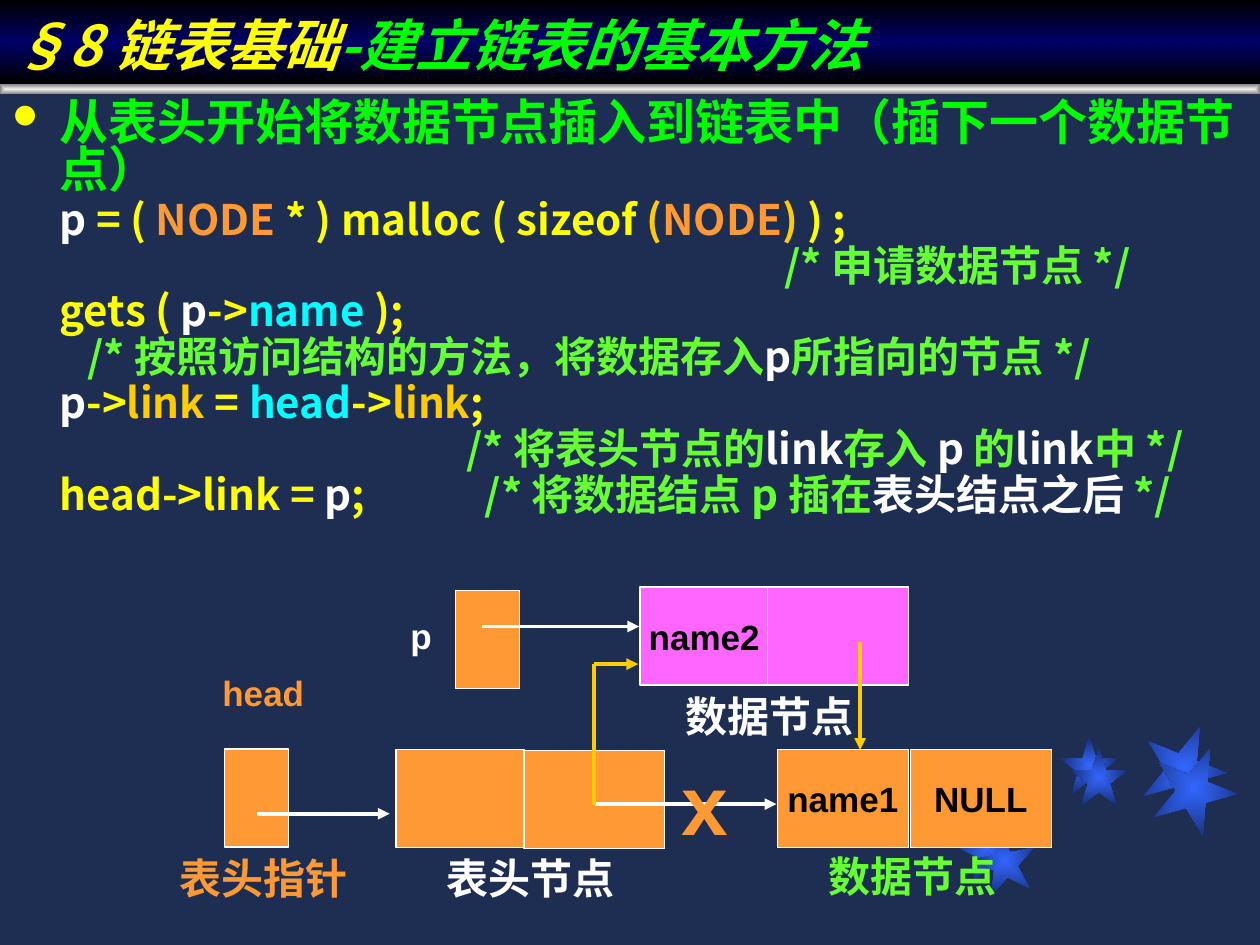
from dataclasses import dataclass

from lxml import etree
from pptx import Presentation
from pptx.dml.color import RGBColor
from pptx.enum.shapes import MSO_CONNECTOR, MSO_SHAPE
from pptx.enum.text import MSO_ANCHOR, MSO_AUTO_SIZE, PP_ALIGN
from pptx.oxml.ns import qn
from pptx.util import Pt

RECT, STAR = MSO_SHAPE.RECTANGLE, MSO_SHAPE.STAR_5_POINT
LINE = MSO_CONNECTOR.STRAIGHT
MIDDLE, BOTTOM = MSO_ANCHOR.MIDDLE, MSO_ANCHOR.BOTTOM
LEFT, CENTER = PP_ALIGN.LEFT, PP_ALIGN.CENTER
FIXED = MSO_AUTO_SIZE.NONE


@dataclass(frozen=True)
class Theme:
    """Colours, fonts and type sizes."""
    back: str = "1E2E53"
    white: str = "FFFFFF"
    black: str = "000000"
    yellow: str = "FFFF00"
    gold: str = "FFCC00"
    orange: str = "FF9933"
    pink: str = "FF66FF"
    cyan: str = "00FFFF"
    green: str = "00FF00"
    lime: str = "66FF33"
    band: tuple = ("000000", "000066", "000000")
    rule: tuple = ("EDEDED", "808080")
    star: tuple = ("3366FF", "182F76")
    cjk: str = "Noto Sans CJK SC"
    sans: str = "Arial"
    title: int = 32
    lead: int = 28
    code: int = 24
    label: int = 20
    cross: int = 48


T = Theme()
INK = {"w": T.white, "y": T.yellow, "g": T.gold, "o": T.orange,
       "c": T.cyan, "l": T.lime}
CODE = [
    (0, [("p", "w"), (" = ( ", "y"), ("NODE", "o"),
         (" * ) malloc ( sizeof ", "y"), ("(", "g"), ("NODE", "o"),
         (")", "g"), (" ) ;", "y")]),
    (414, [("/* 申请数据节点 */", "l")]),
    (0, [("gets ( ", "y"), ("p", "w"), ("->", "y"), ("name", "c"),
         (" );", "y")]),
    (16, [("/* 按照访问结构的方法，将数据存入", "l"), ("p", "w"),
          ("所指向的节点 */", "l")]),
    (0, [("p", "w"), ("->", "y"), ("link", "g"), (" = ", "y"),
         ("head", "c"), ("->", "y"), ("link", "g"), (";", "y")]),
    (232.5, [("/* 将表头节点的", "l"), ("link", "w"), ("存入 ", "l"),
             ("p ", "w"), ("的", "l"), ("link", "w"), ("中 */", "l")]),
    (0, [("head->link = ", "y"), ("p", "w"), (";\t", "y"),
         ("/* 将数据结点 p 插在", "l"), ("表头结点之后 ", "w"),
         ("*/", "l")]),
]


def rgb(hue):
    """Turn a hex string into a colour."""
    return RGBColor.from_string(hue)


def style(run, size, hue, face=T.cjk):
    """Format a run in bold."""
    font = run.font
    font.size, font.bold, font.name = Pt(size), True, face
    font.color.rgb = rgb(hue)
    etree.SubElement(run._r.get_or_add_rPr(), qn("a:ea"), typeface=T.cjk)


def write(para, text, size, hue, face=T.cjk):
    """Append a formatted run and return it."""
    run = para.add_run()
    run.text = text
    style(run, size, hue, face)
    return run


def blend(shape, hues, down=False):
    """Give a shape an even gradient, downward or from its centre."""
    shape.fill.gradient()
    grad = shape._element.spPr.find(qn("a:gradFill"))
    for child in list(grad):
        grad.remove(child)
    stops = etree.SubElement(grad, qn("a:gsLst"))
    for i, hue in enumerate(hues):
        at = str(100000 * i // (len(hues) - 1))
        stop = etree.SubElement(stops, qn("a:gs"), pos=at)
        etree.SubElement(stop, qn("a:srgbClr"), val=hue)
    if down:
        etree.SubElement(grad, qn("a:lin"), ang="5400000", scaled="0")
    else:
        way = etree.SubElement(grad, qn("a:path"), path="rect")
        etree.SubElement(way, qn("a:fillToRect"),
                         **{side: "50000" for side in "ltrb"})


def plain(slide, kind, box):
    """Add a preset shape without line or shadow."""
    shape = slide.shapes.add_shape(kind, *map(Pt, box))
    shape.shadow.inherit = False
    shape.line.fill.background()
    return shape


def stars(slide, box):
    """Place two offset layers of three stars."""
    x, y = box[:2]
    for dx, dy, size, turn in [
            (0, 52, 36, -11), (60, 7, 33, 0), (106.5, 0, 48, 22),
            (10, 60, 36, -11), (65.5, 13.5, 33, 0), (112.5, 12, 48, 22)]:
        star = plain(slide, STAR, (x + dx, y + dy, size, size))
        star.rotation = turn
        blend(star, T.star)


def head(slide, box):
    """Place the title band and the rule below it."""
    x, y, w, h = box
    blend(plain(slide, RECT, (x, y + h, w, 6)), T.rule)
    title = slide.shapes.title
    title.left, title.top, title.width, title.height = map(Pt, box)
    blend(title, T.band, down=True)
    frame = title.text_frame
    frame.auto_size, frame.vertical_anchor = FIXED, BOTTOM
    para = frame.paragraphs[0]
    para.alignment = LEFT
    for text, hue in [("§8 链表基础", T.yellow),
                      ("-建立链表的基本方法", T.green)]:
        write(para, text, T.title, hue).font.italic = True


def body(slide, box):
    """Place the lead bullet and the code lines."""
    frame = slide.shapes.add_textbox(*map(Pt, box)).text_frame
    frame.word_wrap = True
    lead = frame.paragraphs[0]
    lead.line_spacing = 0.8
    props = lead._p.get_or_add_pPr()
    props.set("marL", str(Pt(27)))
    props.set("indent", str(Pt(-27)))
    hue = etree.SubElement(props, qn("a:buClr"))
    etree.SubElement(hue, qn("a:srgbClr"), val=T.yellow)
    etree.SubElement(props, qn("a:buSzPct"), val="70000")
    etree.SubElement(props, qn("a:buFont"), typeface="Wingdings",
                     charset="2")
    etree.SubElement(props, qn("a:buChar"), char="l")
    write(lead, "从表头开始将数据节点插入到链表中（插下一个数据节点）", T.lead, T.green)
    for indent, parts in CODE:
        para = frame.add_paragraph()
        para.line_spacing, para.space_before = 0.7, Pt(6)
        props = para._p.get_or_add_pPr()
        props.set("marL", str(Pt(27)))
        if indent:
            props.set("indent", str(Pt(indent)))
        else:
            tabs = etree.SubElement(props, qn("a:tabLst"))
            etree.SubElement(tabs, qn("a:tab"), pos=str(Pt(243)), algn="l")
        for text, key in parts:
            write(para, text, T.code, INK[key])


def label(frame, text, size, hue):
    """Centre one unwrapped line in a frame."""
    frame.word_wrap, frame.vertical_anchor = False, MIDDLE
    para = frame.paragraphs[0]
    para.alignment = CENTER
    write(para, text, size, hue, T.sans)


def arrow(slide, start, end, hue, tip=True):
    """Draw a line, with a tip if asked."""
    line = slide.shapes.add_connector(LINE, *map(Pt, start + end))
    line.line.color.rgb, line.line.width = rgb(hue), Pt(2.25)
    if tip:
        etree.SubElement(line.line._get_or_add_ln(), qn("a:tailEnd"),
                         type="triangle")
    etree.SubElement(line._element.spPr, qn("a:effectLst"))


def chain(slide, box):
    """Draw the linked list with its pointers and labels."""
    x, y = box[:2]
    for dx, dy, w, hue, text in [
            (163, 2, 36.7, T.orange, ""), (31, 92.5, 36.7, T.orange, ""),
            (129, 93, 73.5, T.orange, ""), (202.2, 93.5, 80.5, T.orange, ""),
            (347, 93, 75, T.orange, "name1"),
            (423, 93, 80.5, T.orange, "NULL"),
            (268.5, 0, 73.5, T.pink, "name2"),
            (341.5, 0, 80.5, T.pink, "")]:
        cell = plain(slide, RECT, (x + dx, y + dy, w, 56))
        cell.fill.solid()
        cell.fill.fore_color.rgb = rgb(hue)
        cell.line.color.rgb, cell.line.width = rgb(T.white), Pt(0.75)
        if text:
            label(cell.text_frame, text, T.label, T.black)
    for x1, y1, x2, y2, hue, tip in [
            (49.5, 129.5, 125.5, 129.5, T.white, True),
            (243, 124, 346.5, 124, T.white, True),
            (178, 22.5, 268, 22.5, T.white, True),
            (242, 124.5, 242, 44, T.gold, False),
            (242, 44, 267.5, 44, T.gold, True),
            (394.3, 31.5, 394.3, 93, T.gold, True)]:
        arrow(slide, (x + x1, y + y1), (x + x2, y + y2), hue, tip)
    for mid, dy, w, text, size, hue in [
            (143.5, 13.5, 42, "p", T.label, T.white),
            (53.3, 46, 124, "head", T.label, T.orange),
            (53.3, 152, 124, "表头指针", T.code, T.orange),
            (206, 152, 124, "表头节点", T.code, T.white),
            (424, 151, 124, "数据节点", T.code, T.lime),
            (342.5, 59.5, 124, "数据节点", T.code, T.white),
            (305.7, 108.5, 60, "x", T.cross, T.orange)]:
        place = (x + mid - w / 2, y + dy, w, 28)
        note = slide.shapes.add_textbox(*map(Pt, place))
        label(note.text_frame, text, size, hue)


def main():
    """Build and save the slide."""
    deck = Presentation()
    deck.slide_width, deck.slide_height = Pt(720), Pt(540)
    slide = deck.slides.add_slide(deck.slide_layouts[5])
    fill = slide.background.fill
    fill.solid()
    fill.fore_color.rgb = rgb(T.back)
    stars(slide, (546, 414, 160, 98))
    head(slide, (0, 0, 720, 48))
    body(slide, (0, 55, 720, 269))
    chain(slide, (97.2, 335.5, 504, 181))
    deck.save("out.pptx")


if __name__ == "__main__":
    main()
